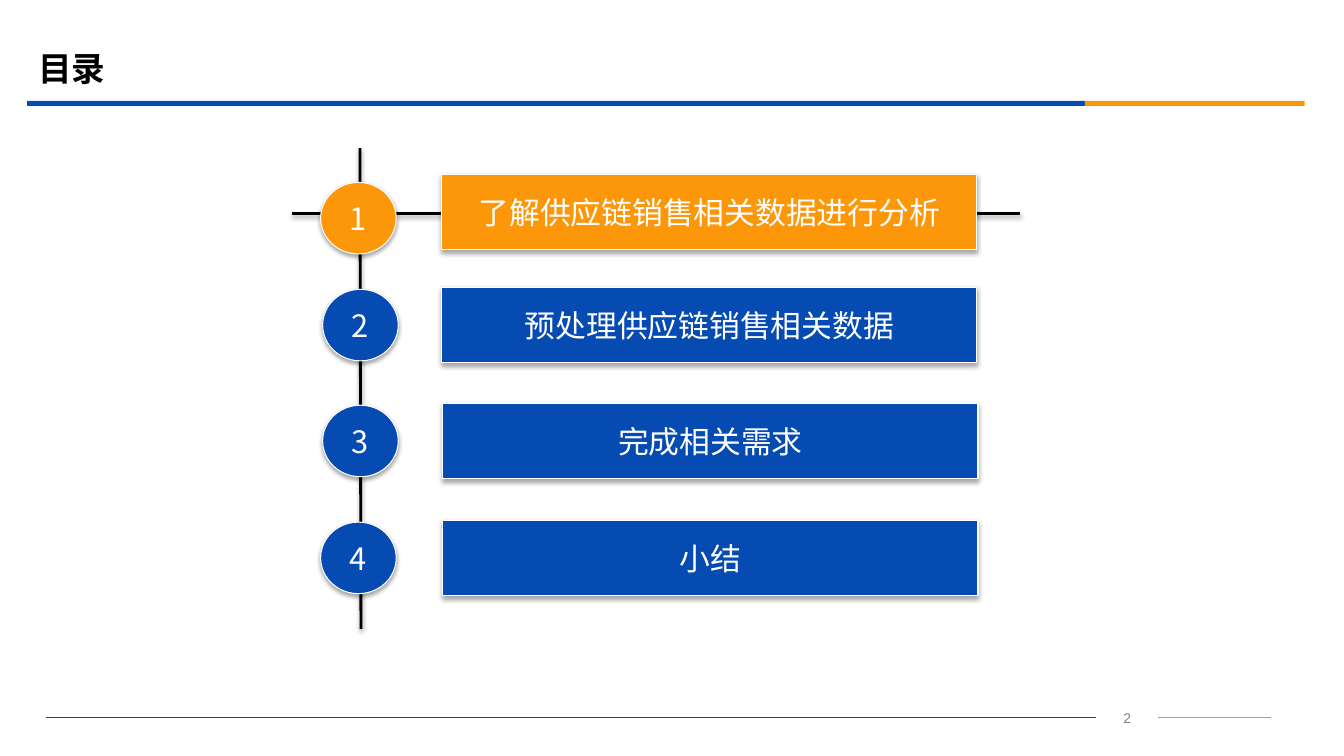
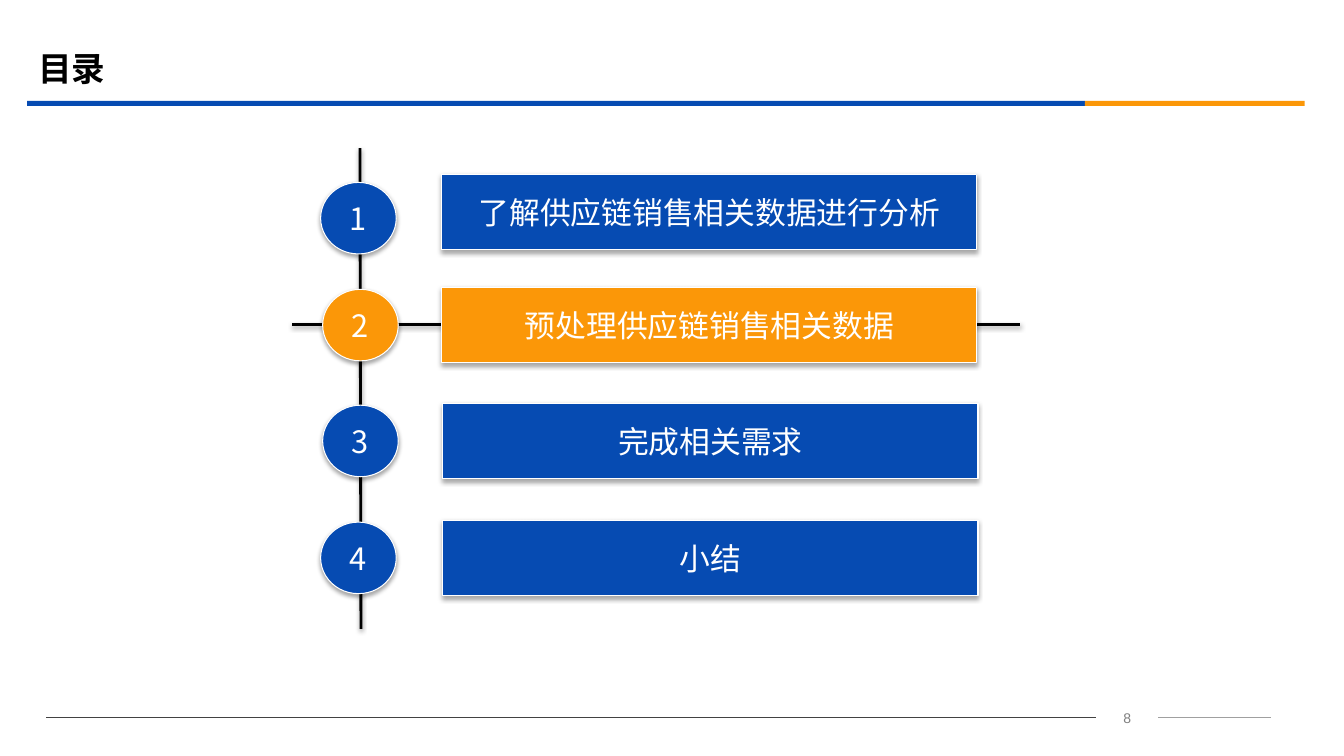
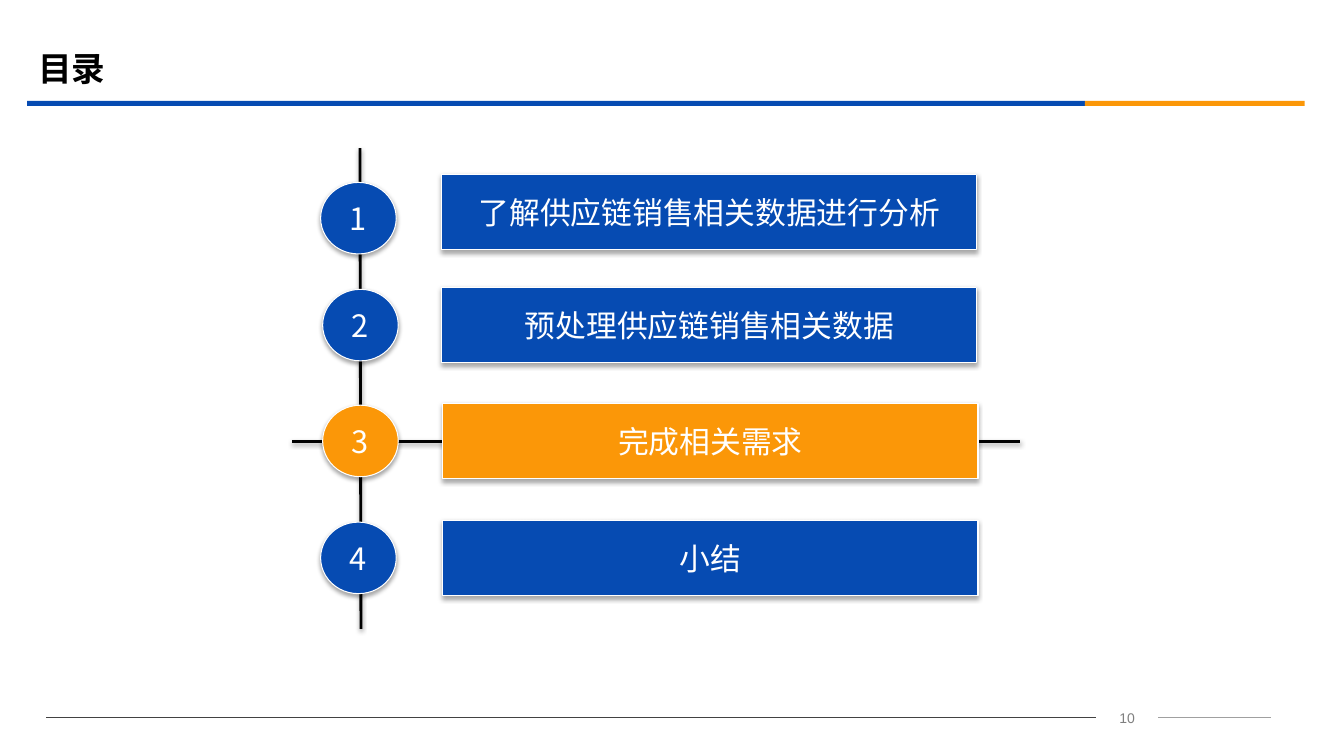
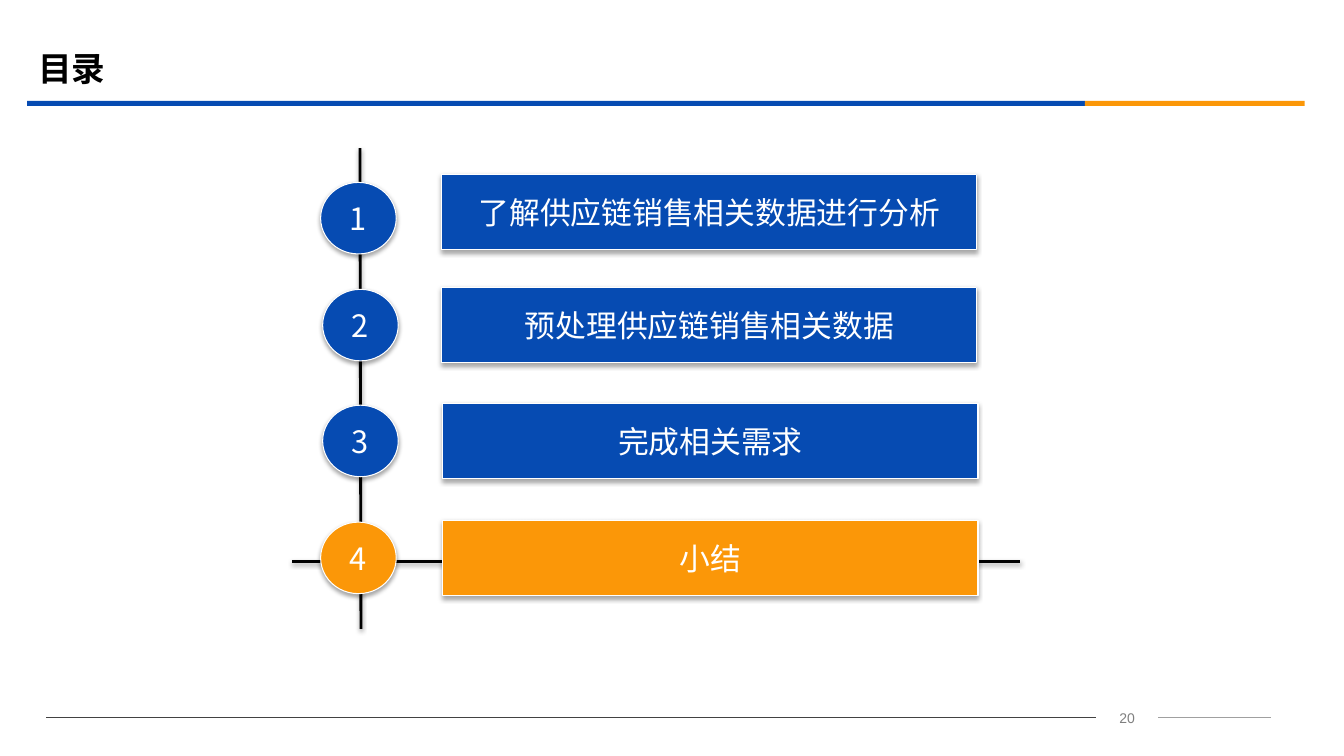
from pptx import Presentation
from pptx.dml.color import RGBColor
from pptx.enum.shapes import MSO_CONNECTOR, MSO_SHAPE
from pptx.enum.text import MSO_ANCHOR, PP_ALIGN
from pptx.oxml.ns import qn
from pptx.util import Inches, Pt
from lxml.etree import SubElement

BLUE = RGBColor(0x06, 0x4B, 0xB2)
ORANGE = RGBColor(0xFB, 0x97, 0x08)
BLACK = RGBColor(0, 0, 0)
WHITE = RGBColor(0xFF, 0xFF, 0xFF)
DARK = RGBColor(0x42, 0x42, 0x42)
LIGHT = RGBColor(0xA0, 0xA0, 0xA0)
GREY = RGBColor(0x7F, 0x7F, 0x7F)

CJK = "Noto Sans CJK SC"
HEAD = {"name": CJK, "size": Pt(24), "bold": True}
LABEL = {"name": CJK, "size": Pt(22), "bold": False}
FOOT = {"name": "Arial", "size": Pt(10), "bold": False}

CELL = Inches(0.1)
TITLE = (2.8, 3.9, 120, 5.8)
RULE = (2.7, 10, 126.7, 0.5)
FOOTER = (4.6, 69.9, 121.5, 2.5)
MENU = (29, 14.7, 72.2, 47.7)

ITEMS = [
    ("了解供应链销售相关数据进行分析", (14.8, 2.6), (2.8, 3.4), 6.5),
    ("预处理供应链销售相关数据", (14.8, 13.8), (3, 14), 17.5),
    ("完成相关需求", (14.9, 25.3), (3, 25.5), 29.1),
    ("小结", (14.9, 36.9), (2.8, 37.1), 41),
]
PAGES = [2, 8, 10, 20]


def grid(*cells):
    return [round(cell * CELL) for cell in cells]


def write(shape, text, form, color, align):
    para = shape.text_frame.paragraphs[0]
    para.alignment = align
    run = para.add_run()
    run.text = text
    for key, value in form.items():
        setattr(run.font, key, value)
    run.font.color.rgb = color
    SubElement(run.font._element, qn("a:ea"), typeface=form["name"])


def shade(shape, drop=0, alpha=0):
    effect = SubElement(shape.element.spPr, qn("a:effectLst"))
    if drop:
        outer = SubElement(effect, qn("a:outerShdw"), blurRad="40000",
                           dist=str(drop), dir="5400000", rotWithShape="0")
        tone = SubElement(outer, qn("a:srgbClr"), val=str(BLACK))
        SubElement(tone, qn("a:alpha"), val=str(alpha * 1000))


def stroke(slide, ends, color, width, *shadow):
    line = slide.shapes.add_connector(MSO_CONNECTOR.STRAIGHT, *grid(*ends))
    line.line.color.rgb = color
    line.line.width = Pt(width)
    shade(line, *shadow)
    return line


def band(slide, box, color):
    shape = slide.shapes.add_shape(MSO_SHAPE.RECTANGLE, *grid(*box))
    shape.fill.solid()
    shape.fill.fore_color.rgb = color
    shape.line.fill.background()
    shape.shadow.inherit = False
    return shape


def badge(slide, kind, box, text, color):
    shape = slide.shapes.add_shape(kind, *grid(*box))
    shape.fill.solid()
    shape.fill.fore_color.rgb = color
    shape.line.color.rgb = WHITE
    shape.line.width = Pt(0.75)
    shade(shape, 23000, 35)
    shape.text_frame.word_wrap = False
    shape.text_frame.vertical_anchor = MSO_ANCHOR.MIDDLE
    write(shape, text, LABEL, WHITE, PP_ALIGN.CENTER)


def frame(slide):
    x, y, w, h = RULE
    split = 104.9
    left, top, wide, _ = FOOTER
    mid = top + 1.3
    parts = [
        band(slide, (x, y, split, h), BLUE),
        band(slide, (x + split, y, w - split, h), ORANGE),
        stroke(slide, (left, mid, left + 104.1, mid), DARK, 0.75),
        stroke(slide, (left + 110.3, mid, left + wide, mid), LIGHT, 0.75),
    ]
    tree = slide.slide_layout.shapes.element
    for num, part in enumerate(parts, 20):
        part.element.xpath(".//p:cNvPr")[0].set("id", str(num))
        tree.append(part.element)


def title(slide, box, text):
    head = slide.shapes.title
    for key, value in zip(("left", "top", "width", "height"), grid(*box)):
        setattr(head, key, value)
    head.text_frame.vertical_anchor = MSO_ANCHOR.MIDDLE
    write(head, text, HEAD, BLACK, PP_ALIGN.LEFT)


def number(slide, box, page):
    x, y, _, h = box
    text = slide.shapes.add_textbox(*grid(x + 104.1, y, 6.2, h))
    text.text_frame.word_wrap = True
    write(text, str(page), FOOT, GREY, PP_ALIGN.CENTER)


def menu(slide, box, active):
    x, y, w, h = box
    spoke = y + ITEMS[active][3]
    stroke(slide, (x + 6.7, y, x + 6.8, y + h), BLACK, 2, 20000, 38)
    stroke(slide, (x, spoke, x + w, spoke), BLACK, 2, 20000, 38)
    for row, (text, bar, disc, _) in enumerate(ITEMS):
        color = ORANGE if row == active else BLUE
        badge(slide, MSO_SHAPE.ACTION_BUTTON_CUSTOM,
              (x + bar[0], y + bar[1], 53.1, 7.5), text, color)
        badge(slide, MSO_SHAPE.OVAL,
              (x + disc[0], y + disc[1], 7.5, 7.1), str(row + 1), color)


def main():
    deck = Presentation()
    deck.slide_width = Inches(13.33)
    deck.slide_height = Inches(7.5)
    layout = deck.slide_layouts[5]
    for active, page in enumerate(PAGES):
        slide = deck.slides.add_slide(layout)
        if active == 0:
            frame(slide)
        title(slide, TITLE, "目录")
        number(slide, FOOTER, page)
        menu(slide, MENU, active)
    deck.save("out.pptx")


if __name__ == "__main__":
    main()
